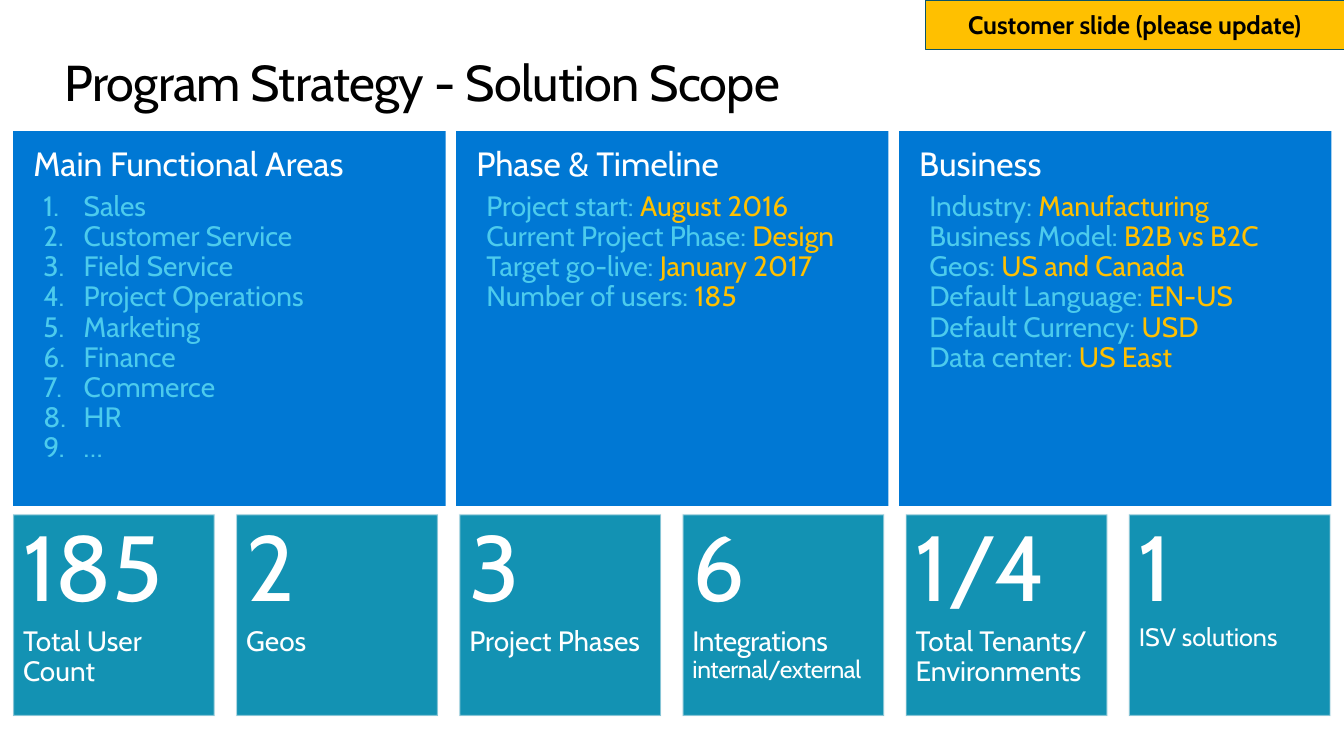
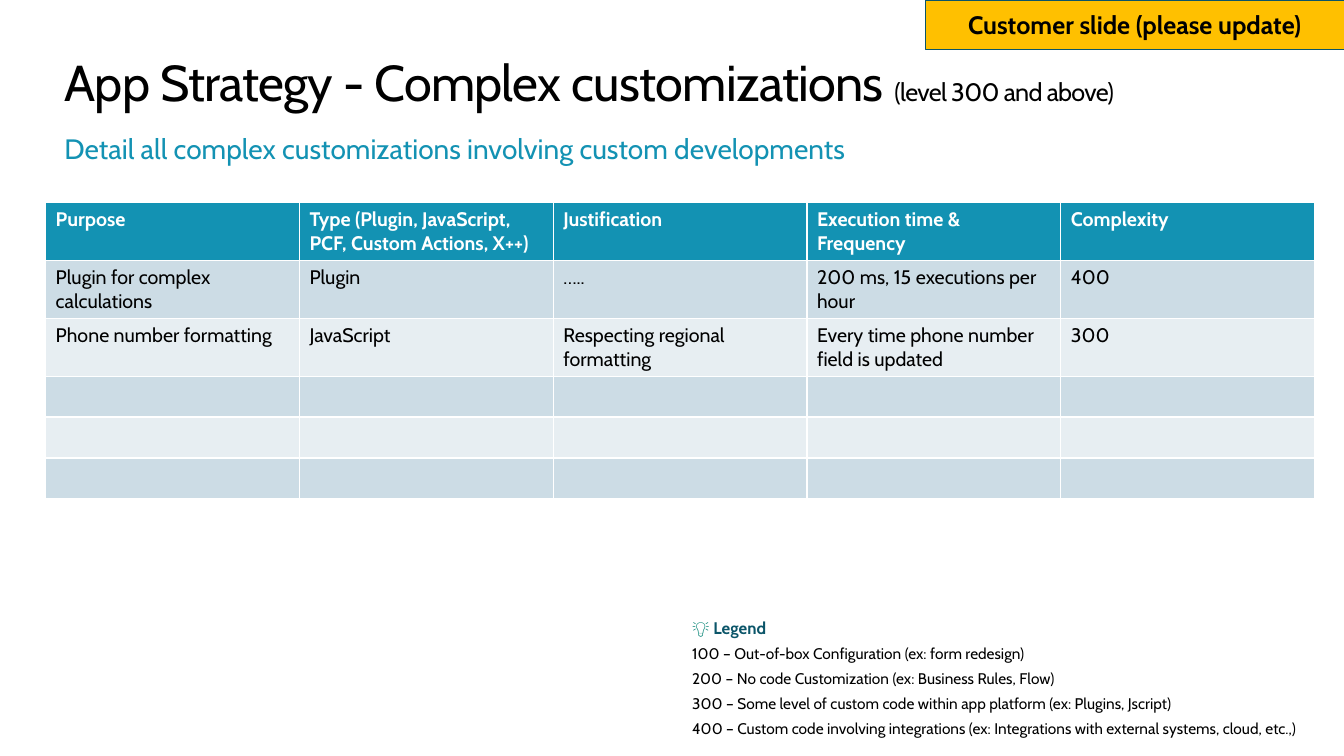
from dataclasses import dataclass
from typing import NamedTuple, Optional

from lxml.etree import SubElement
from pptx import Presentation
from pptx.dml.color import RGBColor
from pptx.enum.shapes import MSO_SHAPE
from pptx.enum.text import MSO_ANCHOR, MSO_AUTO_SIZE, PP_ALIGN
from pptx.oxml.ns import qn
from pptx.util import Pt


@dataclass(frozen=True)
class Theme:
    font: str = "Cabin"
    white: str = "FFFFFF"
    black: str = "000000"
    amber: str = "FFC000"
    blue: str = "0078D4"
    sky: str = "4CCBED"
    teal: str = "1392B3"
    dark_teal: str = "0B5569"
    green: str = "008272"
    tile_edge: str = "F9F9F9"
    row_fills: tuple = ("CCDCE5", "E7EEF2")
    title: float = 36
    heading: float = 24
    body: float = 20
    label: float = 18
    small_label: float = 17.6
    figure: float = 66
    cell: float = 14
    legend_heading: float = 12
    legend: float = 11


THEME = Theme()


class Run(NamedTuple):
    text: str
    size: float
    color: str
    bold: bool = False
    tracking: Optional[float] = None


class Deck:
    """Hold the deck style and the slide being built."""

    def __init__(self, theme):
        self.theme = theme
        self.presentation = Presentation()
        self.presentation.slide_width = Pt(960)
        self.presentation.slide_height = Pt(540)
        self.slide = None

    def add_slide(self, layout_index, *title_runs):
        layout = self.presentation.slide_layouts[layout_index]
        self.slide = self.presentation.slides.add_slide(layout)
        self.banner("Customer slide (please update)")
        self.fill_placeholder(0, (46, 36, 867.6, 44), MSO_ANCHOR.MIDDLE, *title_runs)

    def place(self, shape, box):
        shape.left, shape.top, shape.width, shape.height = (Pt(value) for value in box)

    def frame(self, shape, insets, anchor=MSO_ANCHOR.TOP):
        text_frame = shape.text_frame
        text_frame.word_wrap = True
        text_frame.auto_size = MSO_AUTO_SIZE.NONE
        text_frame.vertical_anchor = anchor
        (text_frame.margin_left, text_frame.margin_top,
         text_frame.margin_right, text_frame.margin_bottom) = (Pt(inset) for inset in insets)
        return text_frame

    def add_runs(self, paragraph, *runs, align=PP_ALIGN.LEFT, line=None, after=0):
        paragraph.alignment = align
        paragraph.space_before = Pt(0)
        paragraph.space_after = Pt(after)
        if line:
            paragraph.line_spacing = line
        for item in runs:
            run = paragraph.add_run()
            run.text = item.text
            run.font.name = self.theme.font
            run.font.size = Pt(item.size)
            run.font.bold = item.bold
            run.font.color.rgb = RGBColor.from_string(item.color)
            if item.tracking is not None:
                run._r.get_or_add_rPr().set("spc", str(round(item.tracking * 100)))

    def indent(self, paragraph, left, first, bullet="buNone"):
        properties = paragraph._p.get_or_add_pPr()
        properties.set("marL", str(Pt(left)))
        properties.set("indent", str(Pt(first)))
        element = SubElement(properties, qn(f"a:{bullet}"))
        if bullet == "buAutoNum":
            element.set("type", "arabicPeriod")

    def fill_placeholder(self, index, box, anchor, *runs):
        shape = self.slide.placeholders[index]
        self.place(shape, box)
        paragraph = self.frame(shape, (0, 0, 0, 0), anchor).paragraphs[0]
        self.indent(paragraph, 0, 0)
        self.add_runs(paragraph, *runs)

    def rectangle(self, box, fill, edge=None, edge_width=0):
        shape = self.slide.shapes.add_shape(
            MSO_SHAPE.RECTANGLE, *(Pt(value) for value in box))
        shape.shadow.inherit = False
        shape.fill.solid()
        shape.fill.fore_color.rgb = RGBColor.from_string(fill)
        if edge:
            shape.line.color.rgb = RGBColor.from_string(edge)
            shape.line.width = Pt(edge_width)
        else:
            shape.line.fill.background()
        return shape

    def banner(self, text):
        theme = self.theme
        shape = self.rectangle((661, 0, 299, 35), theme.amber, theme.dark_teal, 0.25)
        text_frame = self.frame(shape, (7.2, 3.6, 7.2, 3.6), MSO_ANCHOR.MIDDLE)
        self.add_runs(text_frame.paragraphs[0], Run(text, theme.label, theme.black, True),
                      align=PP_ALIGN.CENTER)

    def panel(self, box, heading, entries):
        theme = self.theme
        text_frame = self.frame(self.rectangle(box, theme.blue), (14.4, 11.5, 14.4, 11.5))
        self.add_runs(text_frame.paragraphs[0], Run(heading, theme.heading, theme.white),
                      line=0.9, after=6)
        for entry in entries:
            paragraph = text_frame.add_paragraph()
            if isinstance(entry, str):
                self.indent(paragraph, 36, -28.8, "buAutoNum")
                runs = [Run(entry, theme.body, theme.sky)]
            else:
                name, value = entry
                self.indent(paragraph, 7.2, 0)
                runs = [Run(f"{name}: ", theme.body, theme.sky),
                        Run(value, theme.body, theme.amber)]
            self.add_runs(paragraph, *runs, line=0.9)

    def tile(self, box, figure, label_runs, label_line=0.9, right_inset=7.2):
        theme = self.theme
        shape = self.rectangle(box, theme.teal, theme.tile_edge, 1.35)
        edge_color = shape.line._ln.find(f".//{qn('a:srgbClr')}")
        SubElement(edge_color, qn("a:alpha")).set("val", "50000")
        text_frame = self.frame(shape, (7.2, 11.5, right_inset, 11.5))
        self.add_runs(text_frame.paragraphs[0], Run(figure, theme.figure, theme.white),
                      line=0.8, after=5.9)
        self.add_runs(text_frame.add_paragraph(), *label_runs, line=label_line, after=5.9)

    def table(self, box, rows):
        theme = self.theme
        table = self.slide.shapes.add_table(
            len(rows), len(rows[0]), *(Pt(value) for value in box)).table
        for row_index, row in enumerate(rows):
            header = row_index == 0
            fill = theme.teal if header else theme.row_fills[(row_index - 1) % 2]
            color = theme.white if header else theme.black
            for column_index, text in enumerate(row):
                cell = table.cell(row_index, column_index)
                cell.fill.solid()
                cell.fill.fore_color.rgb = RGBColor.from_string(fill)
                if text:
                    self.add_runs(cell.text_frame.paragraphs[0],
                                  Run(text, theme.cell, color, header))

    def text_box(self, box, paragraphs):
        shape = self.slide.shapes.add_textbox(*(Pt(value) for value in box))
        text_frame = self.frame(shape, (14.4, 11.5, 14.4, 11.5))
        for index, runs in enumerate(paragraphs):
            paragraph = text_frame.add_paragraph() if index else text_frame.paragraphs[0]
            self.add_runs(paragraph, *runs, line=0.9, after=6)


def title_run(text, size=THEME.title):
    return Run(text, size, THEME.black, tracking=-0.5)


def label_run(text, size=THEME.body, tracking=None):
    return Run(text, size, THEME.white, tracking=tracking)


def build_solution_scope(deck):
    deck.add_slide(5, title_run("Program Strategy - Solution Scope"))
    panels = [
        ("Main Functional Areas",
         ["Sales", "Customer Service", "Field Service", "Project Operations",
          "Marketing", "Finance", "Commerce", "HR", "…"]),
        ("Phase & Timeline",
         [("Project start", "August 2016"), ("Current Project Phase", "Design"),
          ("Target go-live", "January 2017"), ("Number of users", "185")]),
        ("Business",
         [("Industry", "Manufacturing"), ("Business Model", "B2B vs B2C"),
          ("Geos", "US and Canada"), ("Default Language", "EN-US"),
          ("Default Currency", "USD"), ("Data center", "US East")]),
    ]
    for index, (heading, entries) in enumerate(panels):
        deck.panel((9.4 + 316.4 * index, 93.6, 308.9, 267.8), heading, entries)

    integration_runs = [label_run("Integrations ", tracking=-0.3),
                        label_run("internal/external", THEME.small_label, -0.3)]
    tiles = [
        ("185", [label_run("Total User Count")], {}),
        ("2", [label_run("Geos")], {}),
        ("3", [label_run("Project Phases")], {}),
        ("6", integration_runs, {"right_inset": 0}),
        ("1/4", [label_run("Total Tenants/ Environments")], {}),
        ("1", [label_run("ISV solutions", THEME.label)], {"label_line": 0.8}),
    ]
    for index, (figure, label_runs, options) in enumerate(tiles):
        deck.tile((9.4 + 159.4 * index, 367.4, 144, 144), figure, label_runs, **options)


def build_customizations(deck):
    deck.add_slide(1, title_run("App Strategy - Complex customizations "),
                   title_run("(level 300 and above)", THEME.label))
    deck.fill_placeholder(
        1, (46, 93.6, 867.6, 36), MSO_ANCHOR.TOP,
        Run("Detail all complex customizations involving custom developments",
            THEME.body, THEME.teal))
    rows = [
        ("Purpose", "Type (Plugin, JavaScript, PCF, Custom Actions, X++)",
         "Justification", "Execution time & Frequency", "Complexity"),
        ("Plugin for complex calculations", "Plugin", "…..",
         "200 ms, 15 executions per hour", "400"),
        ("Phone number formatting", "JavaScript", "Respecting regional formatting",
         "Every time phone number field is updated", "300"),
    ] + [("",) * 5] * 3
    deck.table((32.6, 144.8, 906.5, 175.2), rows)

    levels = [
        "100 – Out-of-box Configuration (ex: form redesign)",
        "200 – No code Customization (ex: Business Rules, Flow)",
        "300 – Some level of custom code within app platform (ex: Plugins, Jscript)",
        "400 – Custom code involving integrations "
        "(ex: Integrations with external systems, cloud, etc.,)",
    ]
    heading = [Run("💡 ", THEME.legend_heading, THEME.green),
               Run("Legend", THEME.legend_heading, THEME.dark_teal, True)]
    deck.text_box((480, 431.3, 480, 108.7),
                  [heading] + [[Run(level, THEME.legend, THEME.black)] for level in levels])


def main():
    deck = Deck(THEME)
    build_solution_scope(deck)
    build_customizations(deck)
    deck.presentation.save("out.pptx")


if __name__ == "__main__":
    main()
